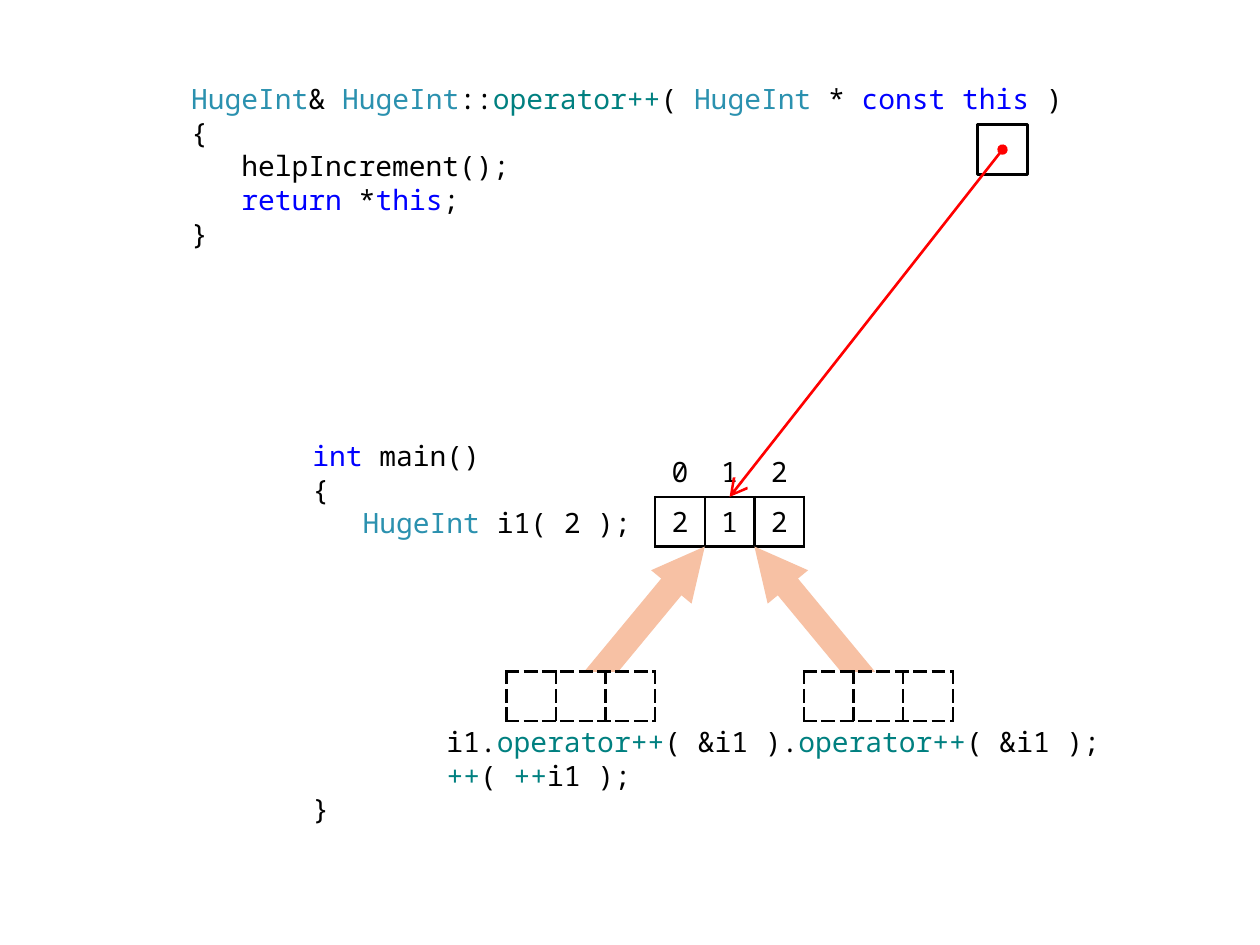
from lxml import etree
from pptx import Presentation
from pptx.dml.color import RGBColor
from pptx.enum import shapes, text
from pptx.oxml import ns
from pptx.util import Pt

COLORS = {
    "black": "000000",
    "white": "FFFFFF",
    "type": "2B91AF",
    "oper": "008080",
    "key": "0000FF",
    "peach": "F7C1A4",
    "red": "FF0000",
}
FONT = "Noto Sans Mono"
SIZE = 16
CELL = 28.35
LEFT, TOP = 374.4, 255.6
TEMP = 383.76
GAP = 106

OPER = [
    [("HugeInt", "type"), ("& ", "black"), ("HugeInt", "type"),
     ("::", "black"), ("operator++", "oper"), ("( ", "black"),
     ("HugeInt ", "type"), ("* ", "black"), ("const this", "key"),
     (" )", "black")],
    [("{", "black")],
    [("   helpIncrement();", "black")],
    [("   ", "black"), ("return", "key"), (" *", "black"),
     ("this", "key"), (";", "black")],
    [("}", "black")],
]
MAIN = [
    [("int", "key"), (" main()", "black")],
    [("{", "black")],
    [("   ", "black"), ("HugeInt ", "type"), ("i1( 2 );", "black")],
    [("        i1.", "black"), ("operator++", "oper"),
     ("( &i1 ).", "black"), ("operator++", "oper"),
     ("( &i1 );", "black")],
    [("        ", "black"), ("++", "oper"), ("( ", "black"),
     ("++", "oper"), ("i1 );", "black")],
    [("}", "black")],
]


def color(name):
    return RGBColor.from_string(COLORS[name])


def set_font(para):
    para.font.name = FONT
    para.font.size = Pt(SIZE)


def add_code(slide, box, inset, lines, gaps):
    frame = slide.shapes.add_textbox(*map(Pt, box)).text_frame
    frame.word_wrap = True
    frame.margin_left, frame.margin_top = map(Pt, inset)
    frame.margin_right = 0
    for num, line in enumerate(lines):
        para = frame.add_paragraph() if num else frame.paragraphs[0]
        if num in gaps:
            para.space_before = Pt(gaps[num])
        set_font(para)
        for words, tint in line:
            run = para.add_run()
            run.text = words
            run.font.color.rgb = color(tint)


def add_edges(cell, dash):
    props = cell._tc.get_or_add_tcPr()
    for side in ("lnL", "lnR", "lnT", "lnB"):
        edge = etree.SubElement(props, ns.qn("a:" + side), w=str(Pt(1.5)))
        fill = etree.SubElement(edge, ns.qn("a:solidFill"))
        etree.SubElement(fill, ns.qn("a:srgbClr"), val=COLORS["black"])
        etree.SubElement(edge, ns.qn("a:prstDash"), val=dash)


def add_cells(slide, left, top, rows, edged, dash="solid"):
    count = len(rows[0])
    table = slide.shapes.add_table(
        len(rows), count, Pt(left), Pt(top),
        Pt(count * CELL), Pt(len(rows) * CELL)).table
    table.first_row = table.horz_banding = False
    for col in table.columns:
        col.width = Pt(CELL)
    for num, row in enumerate(rows):
        table.rows[num].height = Pt(CELL)
        for pos, value in enumerate(row):
            cell = table.cell(num, pos)
            cell.margin_left = cell.margin_right = 0
            cell.margin_top = cell.margin_bottom = Pt(2.9)
            cell.vertical_anchor = text.MSO_ANCHOR.MIDDLE
            if num in edged:
                add_edges(cell, dash)
            cell.fill.solid()
            cell.fill.fore_color.rgb = color("white")
            para = cell.text_frame.paragraphs[0]
            para.alignment = text.PP_ALIGN.CENTER
            set_font(para)
            para.font.color.rgb = color("black")
            if value:
                para.add_run().text = value


def add_arrow(slide, start, end, tint, width, **ends):
    line = slide.shapes.add_connector(
        shapes.MSO_CONNECTOR.STRAIGHT, *map(Pt, start + end))
    line.line.color.rgb = color(tint)
    line.line.width = Pt(width)
    for end_tag, (kind, size) in ends.items():
        etree.SubElement(line.line._get_or_add_ln(), ns.qn("a:" + end_tag),
                         type=kind, w=size, len=size)
    etree.SubElement(line._element.spPr, ns.qn("a:effectLst"))


def add_box(slide, left, top):
    box = slide.shapes.add_shape(
        shapes.MSO_SHAPE.RECTANGLE, Pt(left), Pt(top), Pt(CELL), Pt(CELL))
    box.shadow.inherit = False
    box.fill.solid()
    box.fill.fore_color.rgb = color("white")
    box.line.color.rgb = color("black")
    box.line.width = Pt(1.5)


def main():
    deck = Presentation()
    deck.slide_width, deck.slide_height = Pt(720), Pt(540)
    slide = deck.slides.add_slide(deck.slide_layouts[6])

    add_code(slide, (105, 43.2, 581, 113.8), (4.3, 3.6), OPER, {})
    add_code(slide, (175.7, 242, 468, 241), (2.9, 8.6), MAIN, {3: GAP})

    this = (558.7, 71.3)
    add_box(slide, *this)
    add_cells(slide, LEFT, TOP, ["012", "212"], {1})

    span = 3 * CELL
    temps = [(LEFT - span, LEFT + CELL), (LEFT + span, LEFT + 2 * CELL)]
    for left, tip in temps:
        add_arrow(slide, (left + span / 2, TEMP + CELL / 2),
                  (tip, TOP + 2 * CELL), "peach", 15,
                  tailEnd=("triangle", "sm"))
    for left, tip in temps:
        add_cells(slide, left, TEMP, [[""] * 3], {0}, "dash")

    add_arrow(slide, (this[0] + CELL / 2, this[1] + CELL / 2),
              (LEFT + span / 2, TOP + CELL), "red", 1.5,
              headEnd=("oval", "med"), tailEnd=("arrow", "lg"))
    deck.save("out.pptx")


if __name__ == "__main__":
    main()
